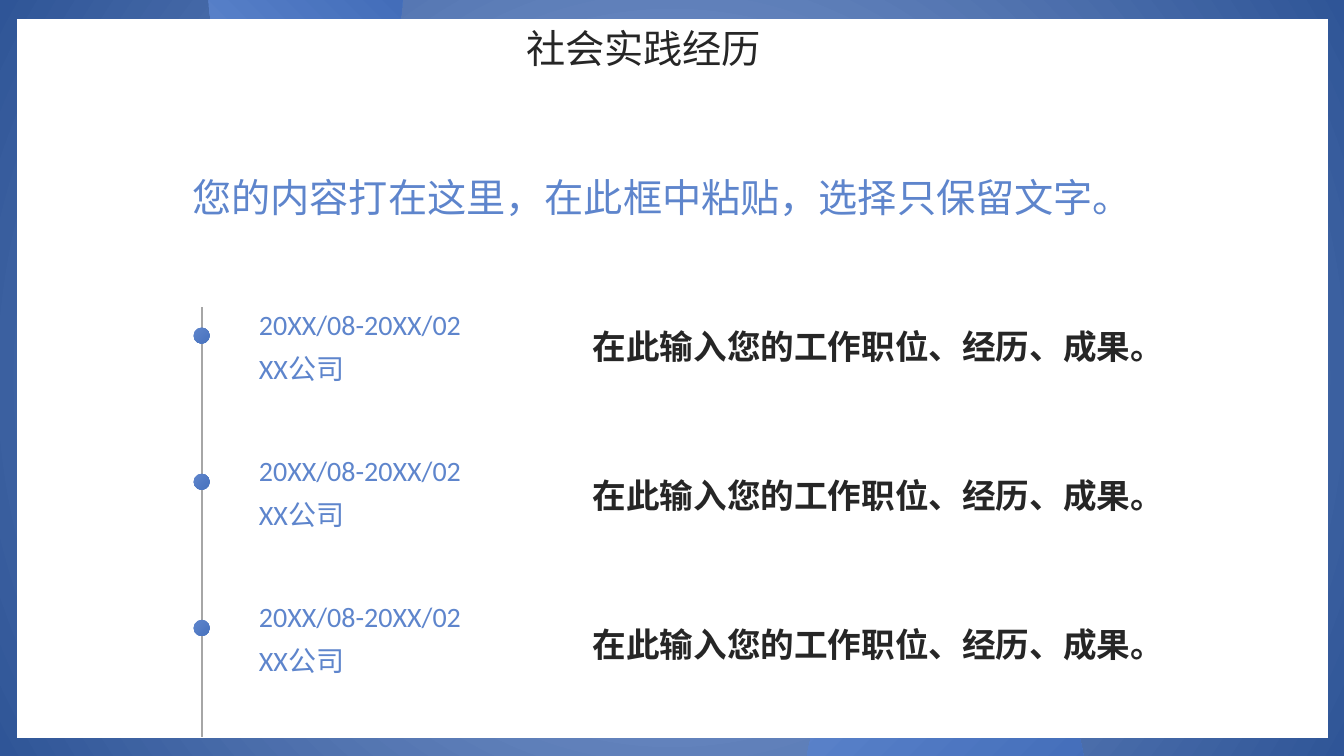
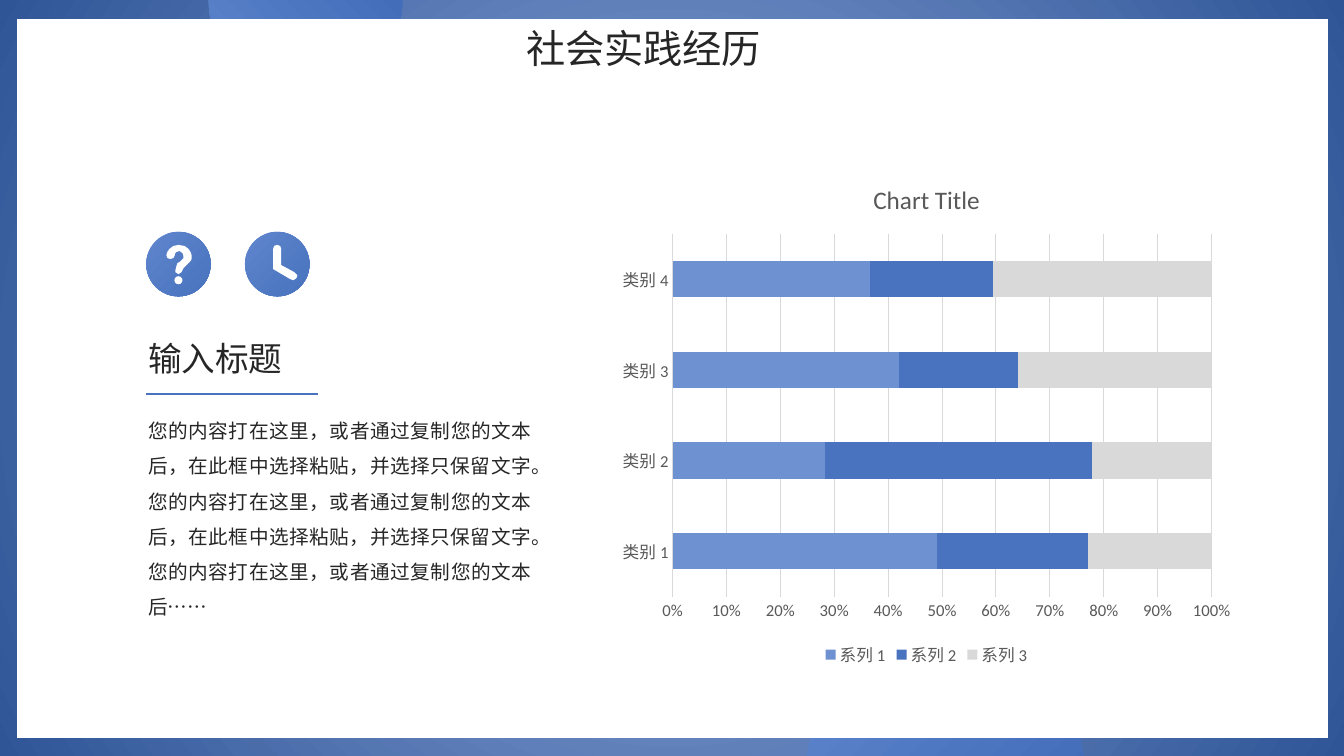
from lxml import etree
from pptx import Presentation
from pptx.chart.data import CategoryChartData
from pptx.dml.color import RGBColor
from pptx.enum.chart import XL_CHART_TYPE, XL_LEGEND_POSITION, XL_TICK_MARK
from pptx.enum.shapes import MSO_CONNECTOR, MSO_SHAPE
from pptx.enum.text import MSO_AUTO_SIZE, PP_ALIGN
from pptx.oxml.ns import qn
from pptx.util import Inches, Pt

RECT, OVAL = MSO_SHAPE.RECTANGLE, MSO_SHAPE.OVAL
LEFT, JUSTIFY = PP_ALIGN.LEFT, PP_ALIGN.JUSTIFY
STRAIGHT = MSO_CONNECTOR.STRAIGHT
STACKED = XL_CHART_TYPE.BAR_STACKED_100
BOTTOM, NO_TICK = XL_LEGEND_POSITION.BOTTOM, XL_TICK_MARK.NONE
GROW = MSO_AUTO_SIZE.SHAPE_TO_FIT_TEXT

FONT = "Calibri"
WIDTH, HEIGHT = 13.33, 7.5
INK, WHITE, GRAY, RULE, PALE = "262626", "FFFFFF", "595959", "A6A6A6", "D9D9D9"
BLUE = "4973BE"
ACCENT = ("5E85CC", BLUE)
BUBBLE = ("6087CE", "3864B2")
BACK = ("8FAADC", "2F5597")

# Icon outlines in hundredths of an inch from the corner of the disc
HOOK = [(45, 27), (44, 29), (41, 32), (39, 34), (37, 36), (36, 38), (35, 40),
        (32, 42), (29, 40), (29, 38), (30, 34), (31, 31), (33, 29.5), (35, 28),
        (37, 26), (37, 24), (36, 21), (33, 19), (30, 20), (29, 21), (28, 24),
        (27, 25.5), (24, 27), (21, 25.5), (20, 23), (21, 20), (23, 17),
        (27, 14), (32, 13), (38, 14), (42, 17), (44.5, 20), (45, 23)]
HANDS = [(36, 33), (36, 17), (34.8, 14), (32, 13), (29.2, 14), (28, 17),
         (28, 37), (45, 47), (48, 47.5), (51, 46), (51.7, 43), (49, 40)]


def color(code):
    return RGBColor.from_string(code)


def paint(fill, tone):
    """Fill with one colour, or with a slanted blend of two."""
    if isinstance(tone, str):
        fill.solid()
        fill.fore_color.rgb = color(tone)
        return
    fill.gradient()
    fill.gradient_angle = 315
    for stop, code, spot in zip(fill.gradient_stops, tone, (0, 1)):
        stop.color.rgb = color(code)
        stop.position = spot


def finish(shape, tone):
    shape.shadow.inherit = False
    paint(shape.fill, tone)
    shape.line.fill.background()
    return shape


def draw(slide, kind, box, tone):
    return finish(slide.shapes.add_shape(kind, *map(Inches, box)), tone)


def outline(slide, left, top, points):
    pen = slide.shapes.build_freeform(*points[0], scale=Inches(0.01))
    pen.add_line_segments(points[1:], close=True)
    return finish(pen.convert_to_shape(Inches(left), Inches(top)), WHITE)


def rule(slide, start, end, tone):
    line = slide.shapes.add_connector(STRAIGHT, *map(Inches, start + end))
    line.line.color.rgb = color(tone)
    line.line.width = Pt(1.5)
    etree.SubElement(line.element.spPr, qn("a:effectLst"))


def style(font, size, tone, bold=False):
    font.name, font.size, font.bold = FONT, Pt(size), bold
    paint(font.fill, tone)


def write(slide, text, box, size=20, tone=INK, bold=False, align=JUSTIFY,
          space=1.0):
    frame = slide.shapes.add_textbox(*map(Inches, box)).text_frame
    frame.word_wrap = True
    frame.auto_size = GROW
    para = frame.paragraphs[0]
    para.alignment, para.line_spacing = align, space
    run = para.add_run()
    run.text = text
    style(run.font, size, tone, bold)


def base(deck, title):
    """Blue frame, white panel and title of each slide."""
    slide = deck.slides.add_slide(deck.slide_layouts[6])
    back = draw(slide, RECT, (0, 0, WIDTH, HEIGHT), BACK)
    blend = back.element.spPr.find(qn("a:gradFill"))
    blend.remove(blend.find(qn("a:lin")))
    glow = etree.SubElement(blend, qn("a:path"), {"path": "circle"})
    etree.SubElement(glow, qn("a:fillToRect"), dict.fromkeys("ltrb", "50000"))
    draw(slide, OVAL, (2.07, -0.96, 1.92, 1.92), BUBBLE).rotation = 270
    draw(slide, OVAL, (7.99, 6.31, 2.77, 2.77), BUBBLE)
    draw(slide, RECT, (0.17, 0.19, 13, 7.13), WHITE)
    write(slide, title, (5.12, 0.19, 3.07, 0.57), size=28)
    return slide


def history(slide, left, top, jobs):
    """Time line: a dot, dates and firm, and the work done."""
    rule(slide, (left + 0.08, top), (left + 0.08, top + 4.26), RULE)
    for i, (dates, firm, work) in enumerate(jobs):
        y = top + 1.45 * i
        draw(slide, OVAL, (left, y + 0.2, 0.16, 0.16), ACCENT)
        for text, drop in ((dates, -0.22), (firm, 0.22)):
            write(slide, text, (left + 0.55, y + drop, 2.76, 0.55),
                  tone=ACCENT, space=1.5)
        write(slide, work, (left + 3.86, top - 0.07 + 1.48 * i, 6.4, 0.64),
              size=24, bold=True, align=LEFT, space=1.5)


def icons(slide, left, top):
    """Question mark and clock on discs."""
    size, clock = 0.64, left + 0.98
    for x in (left, clock):
        draw(slide, OVAL, (x, top, size, size), ACCENT)
    outline(slide, left, top, HOOK)
    draw(slide, OVAL, (left + 0.28, top + 0.44, 0.08, 0.08), WHITE)
    outline(slide, clock, top, HANDS)


def story(slide, left, top, head, body):
    """Icons, heading, rule and body text."""
    icons(slide, left + 0.08, top)
    write(slide, head, (left, top + 1, 1.88, 0.5), size=24)
    rule(slide, (left + 0.08, top + 1.61), (left + 1.78, top + 1.61), BLUE)
    write(slide, body, (left, top + 1.69, 4, 2.22), size=14, space=1.5)


def bars(slide, box, title, cats, rows):
    """Stacked bar chart of shares."""
    data = CategoryChartData()
    data.categories = cats
    for name, vals, _ in rows:
        data.add_series(name, vals)
    chart = slide.shapes.add_chart(STACKED, *map(Inches, box), data).chart
    style(chart.font, 11.9, GRAY)
    head = chart.chart_title.text_frame
    head.text = title
    style(head.paragraphs[0].runs[0].font, 18, GRAY)
    chart.has_legend = True
    chart.legend.position = BOTTOM
    chart.legend.include_in_layout = False
    style(chart.legend.font, 11.9, GRAY)

    plot = chart.plots[0]
    plot.gap_width, plot.overlap = 150, 100
    for series, (_, _, tone) in zip(plot.series, rows):
        paint(series.format.fill, tone)

    cat, val = chart.category_axis, chart.value_axis
    for axis in (cat, val):
        axis.major_tick_mark = axis.minor_tick_mark = NO_TICK
        style(axis.tick_labels.font, 11.9, GRAY)
    val.major_unit = 0.1
    val.tick_labels.number_format = "0%"
    val.tick_labels.number_format_is_linked = False
    val.format.line.fill.background()
    for line in (cat.format.line, val.major_gridlines.format.line):
        line.color.rgb = color(PALE)
        line.width = Pt(0.75)


def main():
    deck = Presentation()
    deck.slide_width, deck.slide_height = Inches(WIDTH), Inches(HEIGHT)
    title = "社会实践经历"

    # Time line slide
    slide = base(deck, title)
    write(slide, "您的内容打在这里，在此框中粘贴，选择只保留文字。",
          (1.81, 1.67, 9.37, 0.57), size=28, tone=ACCENT, align=LEFT)
    job = ("20XX/08-20XX/02", "XX公司", "在此输入您的工作职位、经历、成果。")
    history(slide, 1.92, 3.05, [job] * 3)

    # Chart slide
    slide = base(deck, title)
    start = "您的内容打在这里，或者通过复制您的文本后"
    whole = start + "，在此框中选择粘贴，并选择只保留文字。"
    bars(slide, (6.05, 1.61, 6.28, 5.05), "Chart Title",
         [f"类别 {n}" for n in range(1, 5)],
         [("系列 1", (49, 28, 42, 37), "6D91D1"),
          ("系列 2", (28, 49, 22, 23), BLUE),
          ("系列 3", (23, 22, 36, 41), PALE)])
    story(slide, 1.37, 2.3, "输入标题", whole * 2 + start + "……")
    deck.save("out.pptx")


if __name__ == "__main__":
    main()
